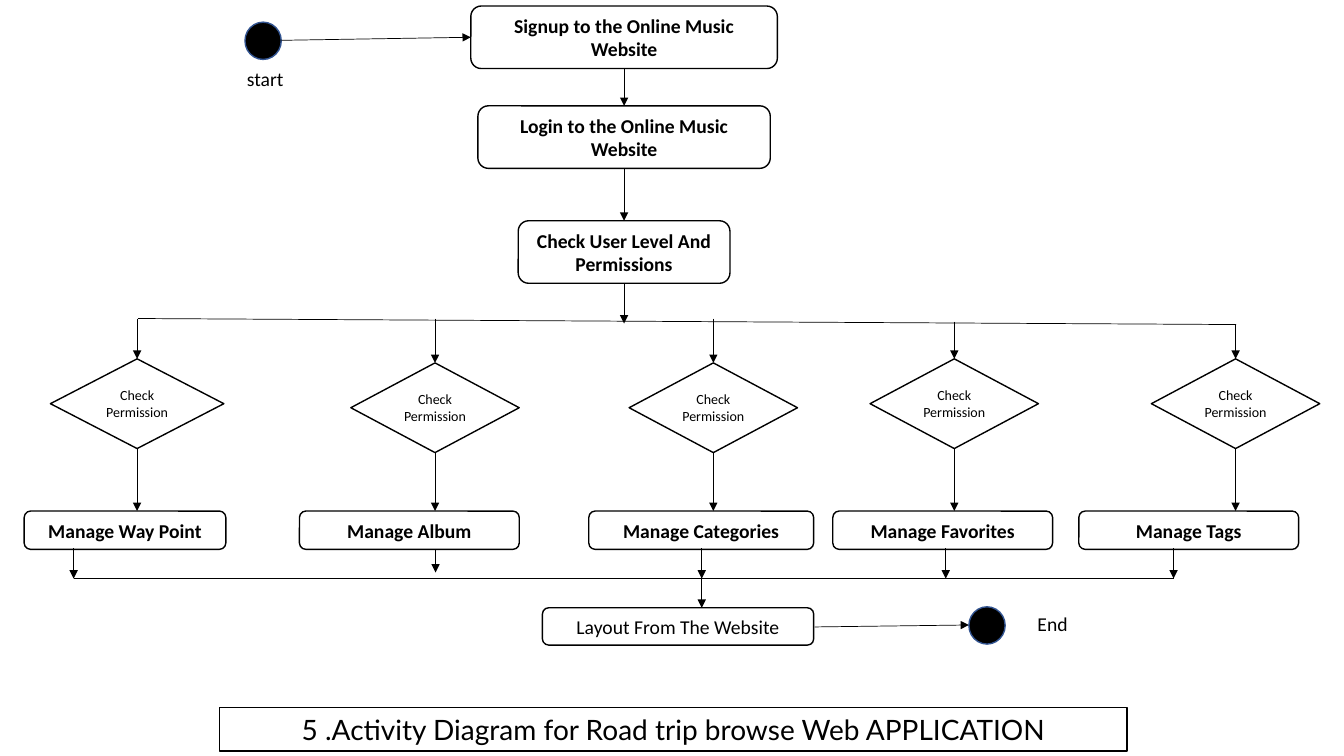
from dataclasses import dataclass

from lxml import etree
from pptx import Presentation
from pptx.dml.color import RGBColor
from pptx.enum import shapes, text
from pptx.oxml import ns
from pptx.util import Inches, Pt


@dataclass(frozen=True)
class Theme:
    ink: RGBColor = RGBColor(0, 0, 0)
    paper: RGBColor = RGBColor(255, 255, 255)
    dot_line: RGBColor = RGBColor(0x32, 0x54, 0x91)
    font: str = "Calibri"
    title_font: str = "Lato"
    title_size: int = 20
    step_size: int = 14
    check_size: int = 10
    outline: float = 1
    arrow: float = 0.5


THEME = Theme()
SHAPE = shapes.MSO_SHAPE

# Main steps: label, left, top, width
STEPS = [
    ("Signup to the Online Music Website", 4.67, 0.06, 3.04),
    ("Login to the Online Music Website", 4.74, 1.05, 2.9),
    ("Check User Level And Permissions", 5.14, 2.19, 2.1),
]
STEP_H, STEP_X = 0.62, 6.19

# Branches: label, check (left, top, width), split line y,
# manage box (left, width), exit arrow (x, start y, end y)
BRANCHES = [
    ("Manage Way Point", (0.5, 3.56, 1.72), 3.16, (0.24, 2.0), (0.73, 5.44, 5.74)),
    ("Manage Album", (3.48, 3.6, 1.67), 3.16, (2.97, 2.18), (4.32, 5.46, 5.68)),
    ("Manage Categories", (6.24, 3.6, 1.67), 3.16, (5.84, 2.23), (6.96, 5.44, 5.74)),
    ("Manage Favorites", (8.63, 3.56, 1.67), 3.19, (8.26, 2.18), (9.38, 5.44, 5.74)),
    ("Manage Tags", (11.42, 3.56, 1.67), 3.22, (10.7, 2.18), (11.64, 5.44, 5.74)),
]
CHECK_H, MANAGE_Y, MANAGE_H, JOIN_Y = 0.89, 5.07, 0.38, 5.74


def write(sp, words, size, bold=False, font=THEME.font, margin=0.1):
    tf = sp.text_frame
    tf.text = words
    tf.word_wrap = True
    tf.auto_size = text.MSO_AUTO_SIZE.NONE
    tf.vertical_anchor = text.MSO_ANCHOR.MIDDLE
    tf.margin_left = tf.margin_right = Inches(margin)
    tf.margin_top = tf.margin_bottom = 0
    for p in tf.paragraphs:
        p.alignment = text.PP_ALIGN.CENTER
        p.font.size = Pt(size)
        p.font.bold = bold
        p.font.name = font
        p.font.color.rgb = THEME.ink


def paint(sp, fill=THEME.paper, line=THEME.ink):
    sp.fill.solid()
    sp.fill.fore_color.rgb = fill
    sp.line.color.rgb = line
    sp.line.width = Pt(THEME.outline)


def add_node(s, kind, x, y, w, h):
    sp = s.shapes.add_shape(kind, Inches(x), Inches(y), Inches(w), Inches(h))
    sp.shadow.inherit = False
    paint(sp)
    return sp


def add_box(s, words, x, y, w, h, bold=True):
    sp = add_node(s, SHAPE.ROUNDED_RECTANGLE, x, y, w, h)
    write(sp, words, THEME.step_size, bold)


def add_check(s, words, x, y, w):
    sp = add_node(s, SHAPE.DIAMOND, x, y, w, CHECK_H)
    write(sp, words, THEME.check_size, margin=0.05)


def add_dot(s, x, y):
    sp = add_node(s, SHAPE.OVAL, x, y, 0.36, 0.37)
    paint(sp, THEME.ink, THEME.dot_line)


def add_label(s, words, x, y):
    sp = s.shapes.add_textbox(Inches(x), Inches(y), Inches(0.8), Inches(0.25))
    write(sp, words, THEME.step_size)


def add_line(s, x1, y1, x2, y2, arrow=True):
    cx = s.shapes.add_connector(shapes.MSO_CONNECTOR.STRAIGHT, Inches(x1),
                                Inches(y1), Inches(x2), Inches(y2))
    cx.line.color.rgb = THEME.ink
    cx.line.width = Pt(THEME.arrow)
    if arrow:
        etree.SubElement(cx.line._get_or_add_ln(), ns.qn("a:tailEnd"), type="triangle")
    etree.SubElement(cx._element.spPr, ns.qn("a:effectLst"))


def add_title(s, words, x, y, w, h):
    sp = s.shapes.title
    sp.left, sp.top, sp.width, sp.height = map(Inches, (x, y, w, h))
    paint(sp)
    write(sp, words, THEME.title_size, font=THEME.title_font)


def add_branch(s, label, check, split_y, box, leave):
    x, y, w = check
    mid = x + w / 2
    add_check(s, "Check\nPermission" if w > 1.7 else "Check Permission", x, y, w)
    add_box(s, label, box[0], MANAGE_Y, box[1], MANAGE_H)
    add_line(s, mid, split_y, mid, y)
    add_line(s, mid, y + CHECK_H, mid, MANAGE_Y)
    leave_x, start, end = leave
    add_line(s, leave_x, start, leave_x, end)


def main():
    prs = Presentation()
    prs.slide_width, prs.slide_height = Inches(13.33), Inches(7.5)
    s = prs.slides.add_slide(prs.slide_layouts[5])

    # Start and main steps
    add_dot(s, 2.43, 0.22)
    add_label(s, "start", 2.23, 0.66)
    add_line(s, 2.79, 0.4, 4.67, 0.37)
    next_tops = [top for _, _, top, _ in STEPS[1:]] + [3.21]
    for (label, x, y, w), next_top in zip(STEPS, next_tops):
        add_box(s, label, x, y, w, STEP_H)
        add_line(s, STEP_X, y + STEP_H, STEP_X, next_top)

    # Permission branches between the split and join lines
    add_line(s, 1.37, 3.16, 12.26, 3.22, arrow=False)
    for branch in BRANCHES:
        add_branch(s, *branch)
    add_line(s, 0.73, JOIN_Y, 11.64, JOIN_Y, arrow=False)

    # Layout step and end
    add_box(s, "Layout From The Website", 5.38, 6.03, 2.69, 0.37, bold=False)
    add_line(s, 6.96, 5.68, 6.96, 6.03)
    add_line(s, 8.08, 6.22, 9.61, 6.2)
    add_dot(s, 9.61, 6.02)
    add_label(s, "End", 10.04, 6.06)

    # Title
    add_title(s, "5 .Activity Diagram for Road trip browse Web APPLICATION",
              2.18, 7.02, 9, 0.43)
    prs.save("out.pptx")


main()
